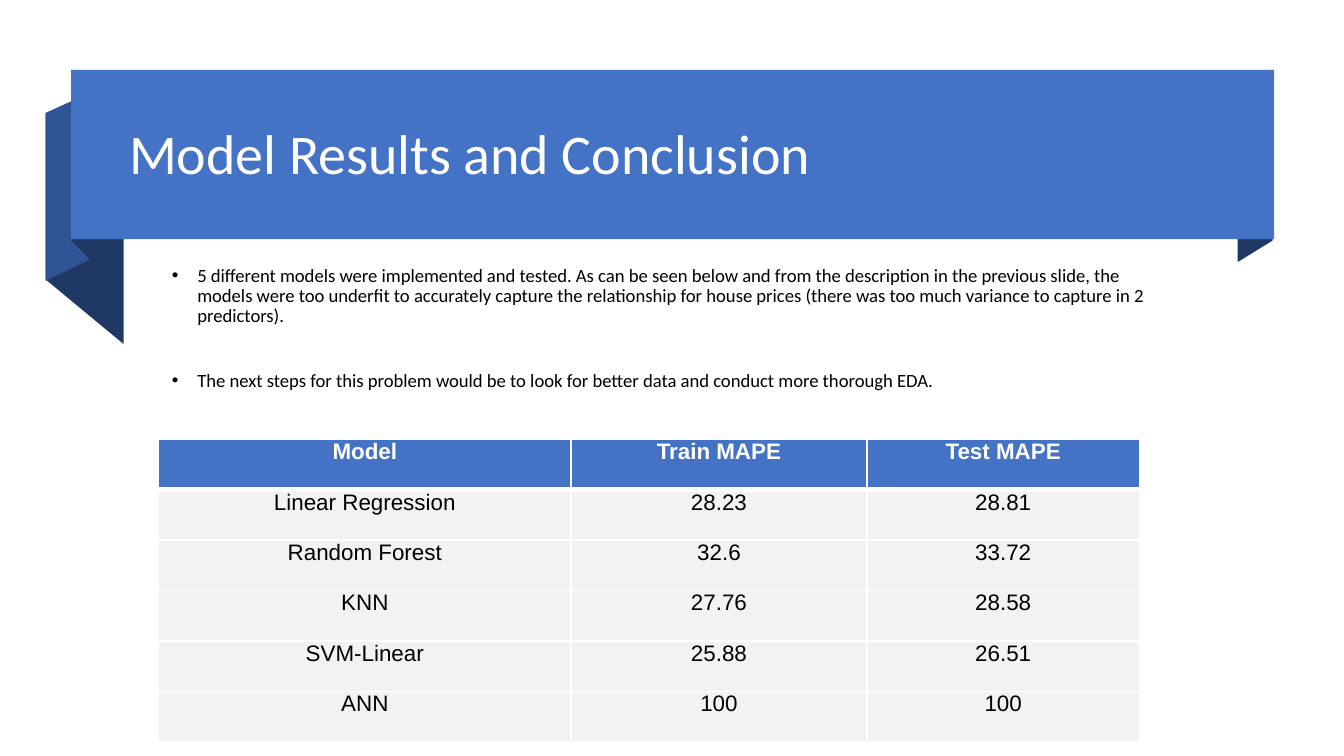
from lxml.etree import SubElement
from pptx import Presentation
from pptx.dml.color import RGBColor
from pptx.enum.shapes import MSO_SHAPE
from pptx.enum.text import MSO_ANCHOR, PP_ALIGN
from pptx.oxml.ns import qn
from pptx.util import Inches, Pt

THEME = {
    "blue": "4472C4", "mid": "2F5496", "navy": "1F3864",
    "white": "FFFFFF", "black": "000000", "pale": "F2F2F2",
    "title": {"name": "Calibri", "size": Pt(30), "bold": False},
    "body": {"name": "Calibri", "size": Pt(10)},
    "head": {"name": "Arial", "size": Pt(12), "bold": True},
    "cell": {"name": "Arial", "size": Pt(12), "bold": False},
}
TITLE = "Model Results and Conclusion"
POINTS = [
    "5 different models were implemented and tested. As can be seen below and "
    "from the description in the previous slide, the models were too underfit "
    "to accurately capture the relationship for house prices (there was too "
    "much variance to capture in 2 predictors).",
    "The next steps for this problem would be to look for better data and "
    "conduct more thorough EDA.",
]
ROWS = [
    ("Model", "Train MAPE", "Test MAPE"),
    ("Linear Regression", "28.23", "28.81"),
    ("Random Forest", "32.6", "33.72"),
    ("KNN", "27.76", "28.58"),
    ("SVM-Linear", "25.88", "26.51"),
    ("ANN", "100", "100"),
]
COLS = (3.07, 2.2, 2.03)
FOLDS = [
    ("navy", [(9.47, 1.79), (9.21, 1.95), (9.21, 0.68), (9.47, 0.52)]),
    ("navy", [(0.92, 2.56), (0.34, 2.08), (0.34, 0.84), (0.92, 1.31)]),
    ("mid", [(0.67, 1.93), (0.34, 2.09), (0.34, 0.84), (0.67, 0.69)]),
    ("navy", [(0.67, 1.93), (0.53, 1.79), (0.53, 0.53), (0.67, 0.66)]),
]
SLIDE = (10, 10 * 9 / 16)
BANNER = (0.53, 0.52, 8.95, 1.26)
TITLE_BOX = (0.86, 0.62, 8.45, 1.09)
BODY_BOX = (1.18, 1.93, 7.64, 2.92)
GRID = (1.18, 3.27, sum(COLS), 2.25)


def box(dims):
    return [Inches(d) for d in dims]


def tint(name):
    return RGBColor.from_string(THEME[name])


def assign(item, values):
    for key, value in values.items():
        setattr(item, key, value)


def style(font, kind, color):
    assign(font, THEME[kind])
    font.color.rgb = tint(color)


def paint(shape, color):
    """Give a shape a flat fill with no line or shadow."""
    shape.shadow.inherit = False
    shape.fill.solid()
    shape.fill.fore_color.rgb = tint(color)
    shape.line.fill.background()


def add_ribbon(shapes):
    for color, points in FOLDS:
        start, *rest = [box(p) for p in points]
        path = shapes.build_freeform(*start, scale=1.0)
        path.add_line_segments(rest, close=True)
        paint(path.convert_to_shape(), color)
    paint(shapes.add_shape(MSO_SHAPE.RECTANGLE, *box(BANNER)), "blue")


def add_title(shapes):
    title = shapes.title
    shapes._spTree.append(title._element)  # in front of the banner
    assign(title, dict(zip(("left", "top", "width", "height"), box(TITLE_BOX))))
    frame = title.text_frame
    frame.text = TITLE
    frame.vertical_anchor = MSO_ANCHOR.MIDDLE
    para = frame.paragraphs[0]
    assign(para, {"alignment": PP_ALIGN.LEFT, "line_spacing": 0.9})
    style(para.runs[0].font, "title", "white")


def add_points(shapes):
    frame = shapes.add_textbox(*box(BODY_BOX)).text_frame
    frame.word_wrap = True
    for i, text in enumerate(POINTS):
        para = frame.add_paragraph() if i else frame.paragraphs[0]
        assign(para, {"line_spacing": 0.9, "space_before": Pt(12),
                      "space_after": Pt(12)})
        run = para.add_run()
        run.text = text
        style(run.font, "body", "black")
        props = para._p.get_or_add_pPr()
        props.set("marL", str(Inches(0.19)))
        props.set("indent", str(-Inches(0.19)))
        SubElement(props, qn("a:buFont"), typeface="Arial")
        SubElement(props, qn("a:buChar"), char="•")


def add_edges(cell, widths):
    props = cell._tc.get_or_add_tcPr()
    for side, width in widths.items():
        line = SubElement(props, qn("a:ln" + side), w=str(Pt(width)))
        fill = SubElement(line, qn("a:solidFill"))
        SubElement(fill, qn("a:srgbClr"), val=THEME["white"])


def add_grid(shapes):
    table = shapes.add_table(len(ROWS), len(COLS), *box(GRID)).table
    for col, width in zip(table.columns, COLS):
        col.width = Inches(width)
    for r, row in enumerate(ROWS):
        table.rows[r].height = Inches(GRID[3] / len(ROWS))
        kind, ink, back = (("cell", "black", "pale") if r
                           else ("head", "white", "blue"))
        edges = {"L": 1, "R": 1, "T": 3 if r == 1 else 1, "B": 1 if r else 3}
        for c, text in enumerate(row):
            cell = table.cell(r, c)
            assign(cell, {"text": text, "margin_left": Inches(0.07),
                          "margin_right": Inches(0.07), "margin_top": 0,
                          "margin_bottom": 0})
            add_edges(cell, edges)
            cell.fill.solid()
            cell.fill.fore_color.rgb = tint(back)
            para = cell.text_frame.paragraphs[0]
            para.alignment = PP_ALIGN.CENTER
            style(para.runs[0].font, kind, ink)


def main():
    deck = Presentation()
    deck.slide_width, deck.slide_height = box(SLIDE)
    shapes = deck.slides.add_slide(deck.slide_layouts[5]).shapes
    for add in (add_ribbon, add_title, add_points, add_grid):
        add(shapes)
    deck.save("out.pptx")


if __name__ == "__main__":
    main()
